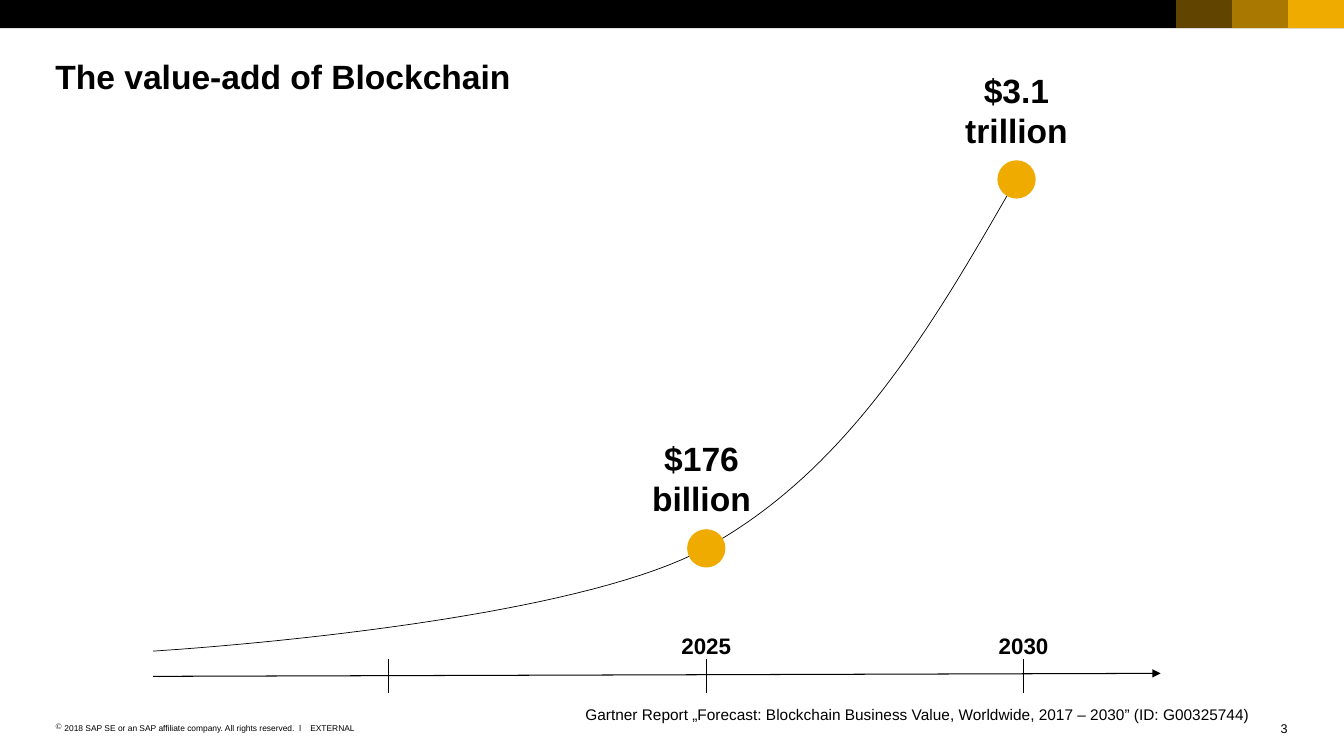
from dataclasses import dataclass

from lxml.etree import SubElement
from pptx import Presentation
from pptx.dml.color import RGBColor
from pptx.enum.shapes import MSO_CONNECTOR as Connector, MSO_SHAPE as Shape
from pptx.enum.text import MSO_ANCHOR as Anchor, PP_ALIGN as Align
from pptx.oxml.ns import qn
from pptx.util import Inches, Pt


@dataclass(frozen=True)
class Theme:
    font: str = "Arial"
    ink: RGBColor = RGBColor(0, 0, 0)
    amber: RGBColor = RGBColor(0xF0, 0xAB, 0x00)
    heading: int = 24
    year: int = 16
    source: int = 11
    number: int = 9
    legal: int = 6
    axis_line: float = 0.75
    curve_line: float = 0.5


THEME = Theme()

# Content
TITLE = "The value-add of Blockchain"
SOURCE = "Gartner Report „Forecast: Blockchain Business Value, Worldwide, 2017 – 2030” (ID: G00325744)"
COPYRIGHT = "2018 SAP SE or an SAP affiliate company. All rights reserved.  ǀ"
CLASSIFICATION = "EXTERNAL"
PAGE_NUMBER = "3"
YEARS = ["", "2025", "2030"]  # one per tick; the first tick is unlabelled
VALUES = [  # text, marker centre, top of text
    ("$176 \vbillion ", (7.01, 5.44), 4.34),
    ("$3.1\vtrillion ", (10.09, 1.78), 0.69),
]
CURVE = [  # cubic segments: start, two controls, end
    ((10.1, 1.76), (9.27, 3.21), (8.43, 4.66), (7, 5.44)),
    ((7, 5.44), (5.57, 6.22), (1.52, 6.46), (1.52, 6.46)),
]
BAND_OPACITIES = [40, 70, 100]  # left to right, ending at the slide edge

# Grid, in inches
WIDTH, HEIGHT = 13.34, 7.5
MARGIN = 0.55
BAND_HEIGHT, BAND_STEP = 0.28, 0.555
AXIS_START, AXIS_END = (1.52, 6.71), (11.52, 6.68)
FIRST_TICK, TICK_STEP = 3.86, 3.15
TICK_TOP, TICK_BOTTOM = 6.54, 6.88
YEAR_TOP = 6
MARKER = 0.38
CURVE_STEPS = 40

deck = Presentation()
deck.slide_width, deck.slide_height = Inches(WIDTH), Inches(HEIGHT)
page = deck.slides.add_slide(deck.slide_layouts[6])


def add_solid(kind, left, top, width, height, colour, opacity=100):
    shape = page.shapes.add_shape(kind, *map(Inches, (left, top, width, height)))
    shape.shadow.inherit = False
    shape.fill.solid()
    shape.fill.fore_color.rgb = colour
    shape.line.fill.background()
    if opacity < 100:
        colour_node = shape.fill._xPr.find(f".//{qn('a:srgbClr')}")
        SubElement(colour_node, qn("a:alpha"), val=str(opacity * 1000))


def add_text(text, left, top, width, height, size, bold=False,
             align=Align.LEFT, anchor=Anchor.TOP, wrap=False, bullet=None):
    box = page.shapes.add_textbox(*map(Inches, (left, top, width, height)))
    frame = box.text_frame
    frame.margin_left = frame.margin_right = frame.margin_top = frame.margin_bottom = 0
    frame.word_wrap, frame.vertical_anchor = wrap, anchor
    para = frame.paragraphs[0]
    para.text, para.alignment = text, align
    if bullet:
        properties = para._p.get_or_add_pPr()
        indent = Inches(0.09)
        properties.set("marL", str(indent))
        properties.set("indent", str(-indent))
        SubElement(properties, qn("a:buChar"), char=bullet)
    font = para.font
    font.name, font.size, font.bold = THEME.font, Pt(size), bold
    font.color.rgb = THEME.ink


def add_line(start, end, arrow=False):
    line = page.shapes.add_connector(Connector.STRAIGHT, *map(Inches, start + end))
    line.line.color.rgb, line.line.width = THEME.ink, Pt(THEME.axis_line)
    if arrow:
        SubElement(line.line._get_or_add_ln(), qn("a:tailEnd"), type="triangle")
    SubElement(line._element.spPr, qn("a:effectLst"))


def bezier_point(segment, share):
    rest = 1 - share
    weights = (rest**3, 3 * rest**2 * share, 3 * rest * share**2, share**3)
    return tuple(Inches(sum(w * point[axis] for w, point in zip(weights, segment)))
                 for axis in (0, 1))


def add_curve():
    points = [bezier_point(segment, step / CURVE_STEPS)
              for segment in CURVE for step in range(1, CURVE_STEPS + 1)]
    builder = page.shapes.build_freeform(*bezier_point(CURVE[0], 0))
    builder.add_line_segments(points, close=False)
    curve = builder.convert_to_shape()
    curve.shadow.inherit = False
    curve.fill.background()
    curve.line.color.rgb, curve.line.width = THEME.ink, Pt(THEME.curve_line)


# Header band and title
add_solid(Shape.RECTANGLE, 0, 0, WIDTH, BAND_HEIGHT, THEME.ink)
for index, opacity in enumerate(BAND_OPACITIES):
    left = WIDTH - (len(BAND_OPACITIES) - index) * BAND_STEP
    add_solid(Shape.RECTANGLE, left, 0, BAND_STEP, BAND_HEIGHT, THEME.amber, opacity)
add_text(TITLE, MARGIN, 0.55, WIDTH - 2 * MARGIN, 0.4, THEME.heading, bold=True, wrap=True)

# Curve with its two values
add_curve()
for text, (x, y), top in VALUES:
    add_solid(Shape.OVAL, x - MARKER / 2, y - MARKER / 2, MARKER, MARKER, THEME.amber)
    add_text(text, x - 0.55, top, 1.1, 0.81, THEME.heading, bold=True, align=Align.CENTER)

# Time axis
add_line(AXIS_START, AXIS_END, arrow=True)
for index, year in enumerate(YEARS):
    x = FIRST_TICK + index * TICK_STEP
    add_line((x, TICK_TOP), (x, TICK_BOTTOM))
    if year:
        add_text(year, x - 0.5, YEAR_TOP, 1, TICK_TOP - YEAR_TOP, THEME.year, bold=True,
                 align=Align.CENTER, anchor=Anchor.BOTTOM)

# Source and footer
add_text(SOURCE, 5.81, 7, 6.69, 0.19, THEME.source)
add_text(COPYRIGHT, MARGIN, 7.17, 2.48, 0.1, THEME.legal, wrap=True, bullet="©")
add_text(CLASSIFICATION, 3.08, 7.17, 0.45, 0.1, THEME.legal)
add_text(PAGE_NUMBER, 12.63, 7.15, 0.15, 0.15, THEME.number, align=Align.RIGHT)

deck.save("out.pptx")
